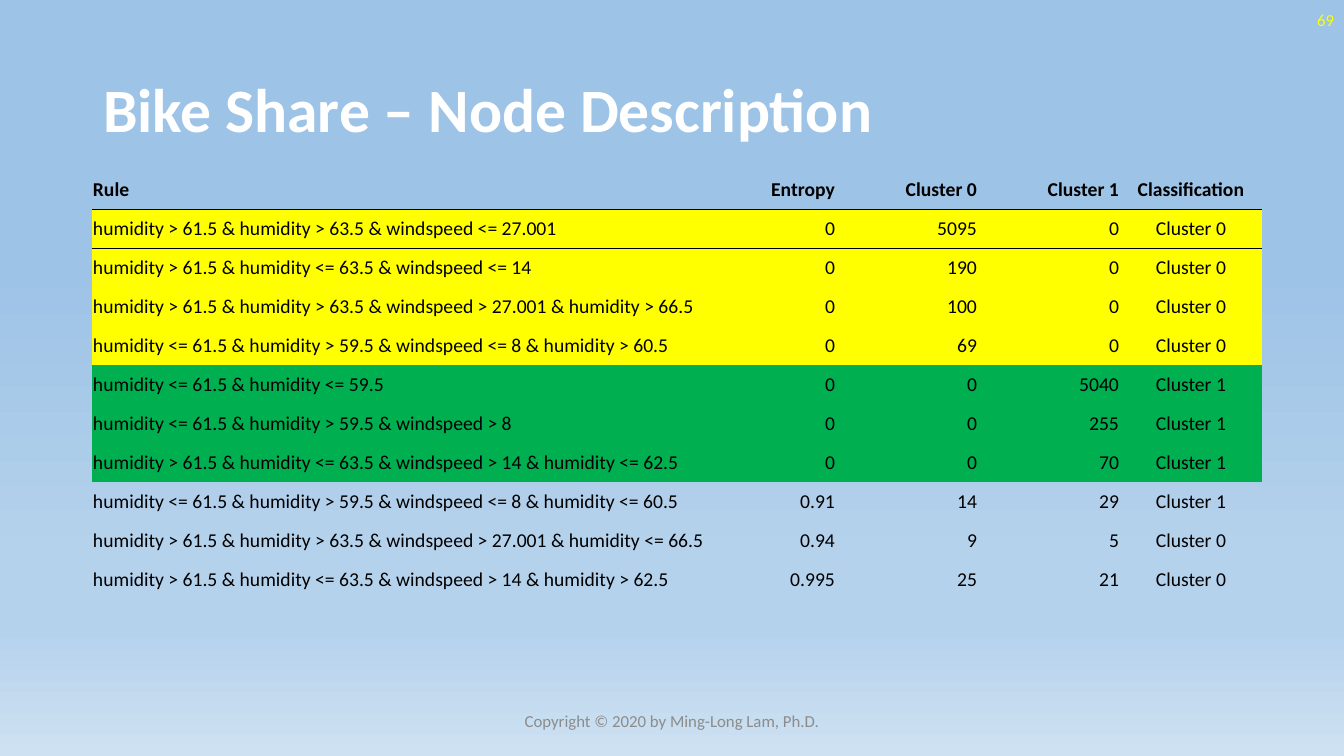
from lxml.etree import fromstring
from pptx import Presentation
from pptx.dml.color import RGBColor
from pptx.enum.text import MSO_ANCHOR, PP_ALIGN
from pptx.oxml.ns import nsdecls, qn
from pptx.util import Pt

TITLE = "Bike Share – Node Description"
COPYRIGHT = "Copyright © 2020 by Ming-Long Lam, Ph.D."
PAGE_NUMBER = "69"

WHITE = RGBColor(0xFF, 0xFF, 0xFF)
BLACK = RGBColor(0x00, 0x00, 0x00)
GRAY = RGBColor(0x8C, 0x8C, 0x8C)
YELLOW = RGBColor(0xFF, 0xFF, 0x00)
GREEN = RGBColor(0x00, 0xB0, 0x50)
SKY = RGBColor(0x9D, 0xC3, 0xE6)
PALE_SKY = RGBColor(0xB5, 0xD2, 0xEC)
HORIZON = RGBColor(0xCE, 0xE1, 0xF2)

BACKGROUND_STOPS = [(35, SKY), (74, PALE_SKY), (83, PALE_SKY), (100, HORIZON)]
FONT = "Calibri"
NO_STYLE = "{2D5ABB26-0587-4C30-8999-92F81FD0307C}"

COLUMNS = [
    ("Rule", 633, PP_ALIGN.LEFT),
    ("Entropy", 111, PP_ALIGN.RIGHT),
    ("Cluster 0", 142, PP_ALIGN.RIGHT),
    ("Cluster 1", 142, PP_ALIGN.RIGHT),
    ("Classification", 142, PP_ALIGN.CENTER),
]
NODES = [
    ("humidity > 61.5 & humidity > 63.5 & windspeed <= 27.001", "0", "5095", "0", "Cluster 0"),
    ("humidity > 61.5 & humidity <= 63.5 & windspeed <= 14", "0", "190", "0", "Cluster 0"),
    ("humidity > 61.5 & humidity > 63.5 & windspeed > 27.001 & humidity > 66.5", "0", "100", "0", "Cluster 0"),
    ("humidity <= 61.5 & humidity > 59.5 & windspeed <= 8 & humidity > 60.5", "0", "69", "0", "Cluster 0"),
    ("humidity <= 61.5 & humidity <= 59.5", "0", "0", "5040", "Cluster 1"),
    ("humidity <= 61.5 & humidity > 59.5 & windspeed > 8", "0", "0", "255", "Cluster 1"),
    ("humidity > 61.5 & humidity <= 63.5 & windspeed > 14 & humidity <= 62.5", "0", "0", "70", "Cluster 1"),
    ("humidity <= 61.5 & humidity > 59.5 & windspeed <= 8 & humidity <= 60.5", "0.91", "14", "29", "Cluster 1"),
    ("humidity > 61.5 & humidity > 63.5 & windspeed > 27.001 & humidity <= 66.5", "0.94", "9", "5", "Cluster 0"),
    ("humidity > 61.5 & humidity <= 63.5 & windspeed > 14 & humidity > 62.5", "0.995", "25", "21", "Cluster 0"),
]
PURE_FILLS = {"Cluster 0": YELLOW, "Cluster 1": GREEN}
ROW_HEIGHT = 39


def px(length):
    return round(length * 914400 / 100.8)


def write(frame, text, size, color, align, bold=False):
    frame.text = text
    para = frame.paragraphs[0]
    para.alignment = align
    font = para.runs[0].font
    font.name, font.size, font.bold = FONT, Pt(size), bold
    font.color.rgb = color
    return para


def add_label(page, left, top, width, height, text, color, align):
    box = page.shapes.add_textbox(px(left), px(top), px(width), px(height))
    box.text_frame.word_wrap = True
    box.text_frame.vertical_anchor = MSO_ANCHOR.MIDDLE
    write(box.text_frame, text, 12, color, align)


def paint_background(page):
    stops = "".join(
        f'<a:gs pos="{percent * 1000}"><a:srgbClr val="{color}"/></a:gs>'
        for percent, color in BACKGROUND_STOPS
    )
    page.background.fill.solid()
    properties = page.element.find(".//" + qn("p:bgPr"))
    gradient = fromstring(
        f'<a:gradFill {nsdecls("a")} rotWithShape="1"><a:gsLst>{stops}</a:gsLst>'
        '<a:lin ang="5400000" scaled="0"/></a:gradFill>'
    )
    properties.replace(properties[0], gradient)


def add_border(cell, side):
    line = fromstring(
        f'<a:{side} {nsdecls("a")} w="{Pt(0.5)}"><a:solidFill>'
        f'<a:srgbClr val="{BLACK}"/></a:solidFill></a:{side}>'
    )
    cell._tc.get_or_add_tcPr().insert(0, line)


def add_node_table(page):
    rows = [tuple(name for name, _, _ in COLUMNS)] + NODES
    width = sum(column[1] for column in COLUMNS)
    frame = page.shapes.add_table(
        len(rows), len(COLUMNS), px(92), px(170), px(width), px(ROW_HEIGHT * len(rows))
    )
    table = frame.table
    table.first_row = table.horz_banding = False
    frame._element.find(".//" + qn("a:tableStyleId")).text = NO_STYLE
    for column, (_, column_width, _) in zip(table.columns, COLUMNS):
        column.width = px(column_width)
    for index, values in enumerate(rows):
        table.rows[index].height = px(ROW_HEIGHT)
        fill = PURE_FILLS[values[4]] if values[1] == "0" else None
        for cell, value, (_, _, align) in zip(table.rows[index].cells, values, COLUMNS):
            cell.margin_left = cell.margin_right = cell.margin_top = px(1)
            cell.margin_bottom = 0
            cell.vertical_anchor = MSO_ANCHOR.MIDDLE
            write(cell.text_frame, value, 14, BLACK, align, bold=index == 0)
            if fill is None:
                cell.fill.background()
            else:
                cell.fill.solid()
                cell.fill.fore_color.rgb = fill
            if index < 2:
                add_border(cell, ("lnB", "lnT")[index])


def main():
    deck = Presentation()
    deck.slide_width, deck.slide_height = px(1344), px(756)
    page = deck.slides.add_slide(deck.slide_layouts[5])
    paint_background(page)

    title = page.shapes.title
    title.left, title.top, title.width, title.height = px(93), px(40), px(1159), px(146)
    title.text_frame.vertical_anchor = MSO_ANCHOR.MIDDLE
    para = write(title.text_frame, TITLE, 44, WHITE, PP_ALIGN.LEFT, bold=True)
    para.line_spacing = 0.9

    add_node_table(page)
    add_label(page, 445, 701, 454, 40, COPYRIGHT, GRAY, PP_ALIGN.CENTER)
    add_label(page, 1042, 0, 302, 40, PAGE_NUMBER, YELLOW, PP_ALIGN.RIGHT)
    deck.save("out.pptx")


if __name__ == "__main__":
    main()
